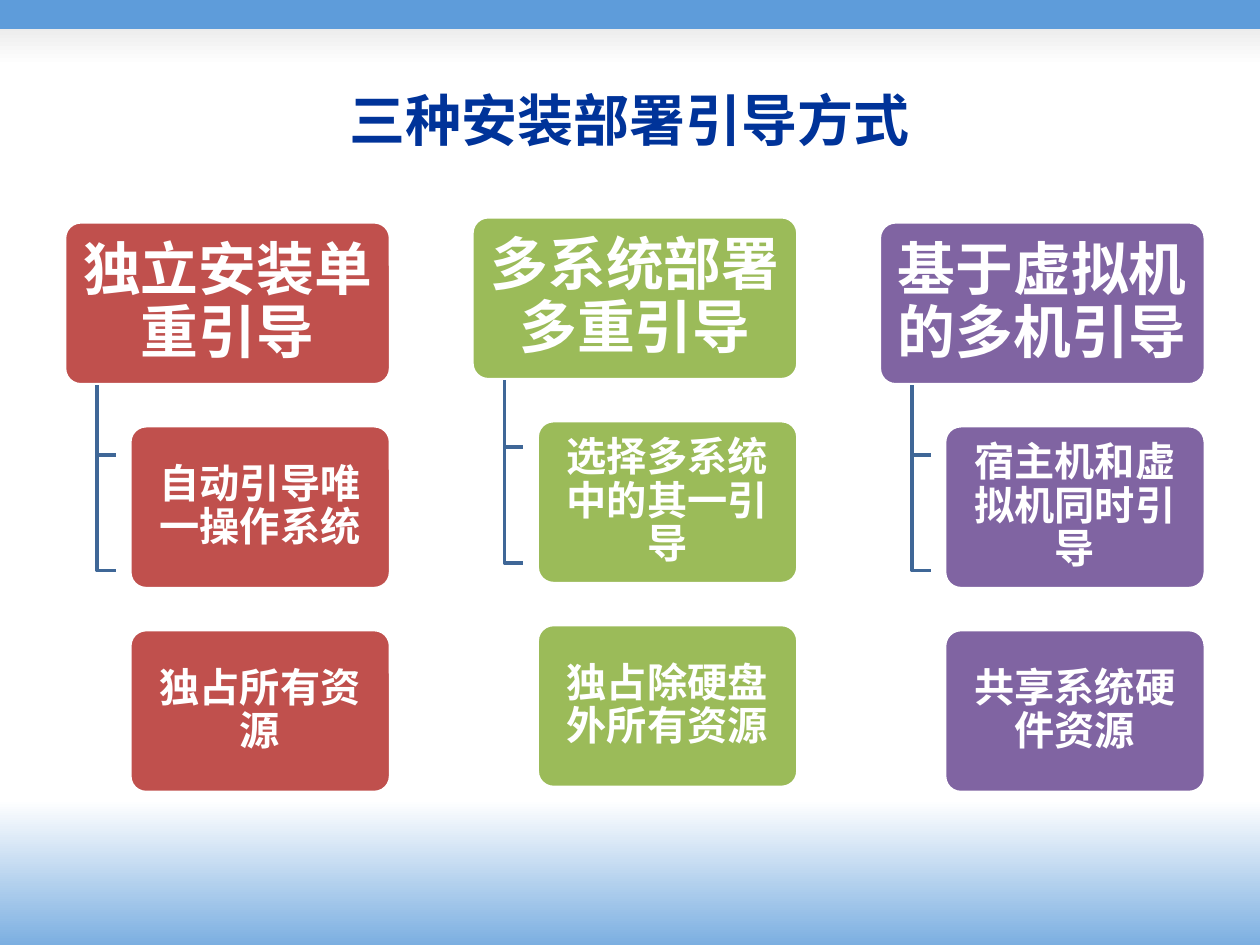
from pptx import Presentation
from pptx.dml.color import RGBColor
from pptx.enum import shapes, text
from pptx.util import Pt

INK = {"red": "C0504D", "green": "9BBB59", "violet": "8064A2", "white": "FFFFFF",
       "wire": "3F6797", "title": "003399", "sky": "5E9CDA", "haze": "7CAFE1",
       "gray": "DDDDDD"}
TITLE = "三种安装部署引导方式"
MODES = [
    ("red", 126.8, (39.6, 105.8),
     ("独立安装单重引导", "自动引导唯一操作系统", "独占所有资源")),
    ("green", 123.9, (38.2, 104.4),
     ("多系统部署多重引导", "选择多系统中的其一引导", "独占除硬盘外所有资源")),
    ("violet", 126.8, (39.6, 105.8),
     ("基于虚拟机的多机引导", "宿主机和虚拟机同时引导", "共享系统硬件资源")),
]
BANDS = [(0, 37.4, ("gray", "white")), (457.2, 82.8, ("white", "haze")),
         (0, 16.6, ("sky",))]
LEFT, STEP, PITCH = 36.9, 232.8, 116.5
HEAD, LEAF, TALL = 186.3, 149, 93.1
STEM, TICK = 18.6, 10.8


def color(name):
    return RGBColor.from_string(INK[name])


def write(frame, words, size, font, ink, pad):
    frame.word_wrap = True
    frame.margin_left = frame.margin_right = Pt(pad[0])
    frame.margin_top = frame.margin_bottom = Pt(pad[1])
    para = frame.paragraphs[0]
    para.alignment = text.PP_ALIGN.CENTER
    para.line_spacing = 0.9
    run = para.add_run()
    run.text = words
    run.font.name = font
    run.font.size = Pt(size)
    run.font.bold = True
    run.font.color.rgb = color(ink)


def add_band(slide, top, tall, inks):
    band = slide.shapes.add_shape(shapes.MSO_SHAPE.RECTANGLE, 0, Pt(top), Pt(720), Pt(tall))
    band.shadow.inherit = False
    band.line.fill.background()
    if len(inks) == 1:
        band.fill.solid()
        band.fill.fore_color.rgb = color(inks[0])
        return
    band.fill.gradient()
    band.fill.gradient_angle = 270
    for stop, ink, place in zip(band.fill.gradient_stops, inks, (0, 1)):
        stop.color.rgb = color(ink)
        stop.position = place


def add_card(slide, left, top, wide, ink, words, size, pad):
    card = slide.shapes.add_shape(shapes.MSO_SHAPE.ROUNDED_RECTANGLE,
                                  Pt(left), Pt(top), Pt(wide), Pt(TALL))
    card.adjustments[0] = 0.1
    card.shadow.inherit = False
    card.fill.solid()
    card.fill.fore_color.rgb = color(ink)
    card.line.color.rgb = color("white")
    card.line.width = Pt(2)
    card.text_frame.vertical_anchor = text.MSO_ANCHOR.MIDDLE
    write(card.text_frame, words, size, "Calibri", "white", pad)


def add_elbow(slide, left, top, drop):
    pen = slide.shapes.build_freeform(Pt(left), Pt(top))
    pen.add_line_segments([(Pt(left), Pt(top + drop)),
                           (Pt(left + TICK), Pt(top + drop))], close=False)
    elbow = pen.convert_to_shape()
    elbow.shadow.inherit = False
    elbow.fill.background()
    elbow.line.color.rgb = color("wire")
    elbow.line.width = Pt(2)


def main():
    deck = Presentation()
    deck.slide_width, deck.slide_height = Pt(720), Pt(540)
    slide = deck.slides.add_slide(deck.slide_layouts[6])
    for band in BANDS:
        add_band(slide, *band)
    box = slide.shapes.add_textbox(Pt(64.8), Pt(49.7), Pt(590.4), Pt(90))
    write(box.text_frame, TITLE, 32, "Noto Sans CJK SC", "title", (7.2, 3.6))

    for col, (ink, top, drops, (head, *leaves)) in enumerate(MODES):
        left = LEFT + col * STEP
        add_card(slide, left, top, HEAD, ink, head, 33, (5, 3.4))
        for row, (leaf, drop) in enumerate(zip(leaves, drops), 1):
            add_elbow(slide, left + STEM, top + TALL + 0.4, drop)
            add_card(slide, left + HEAD - LEAF, top + row * PITCH, LEAF, ink,
                     leaf, 23, (3.4, 2.3))
    deck.save("out.pptx")


if __name__ == "__main__":
    main()
